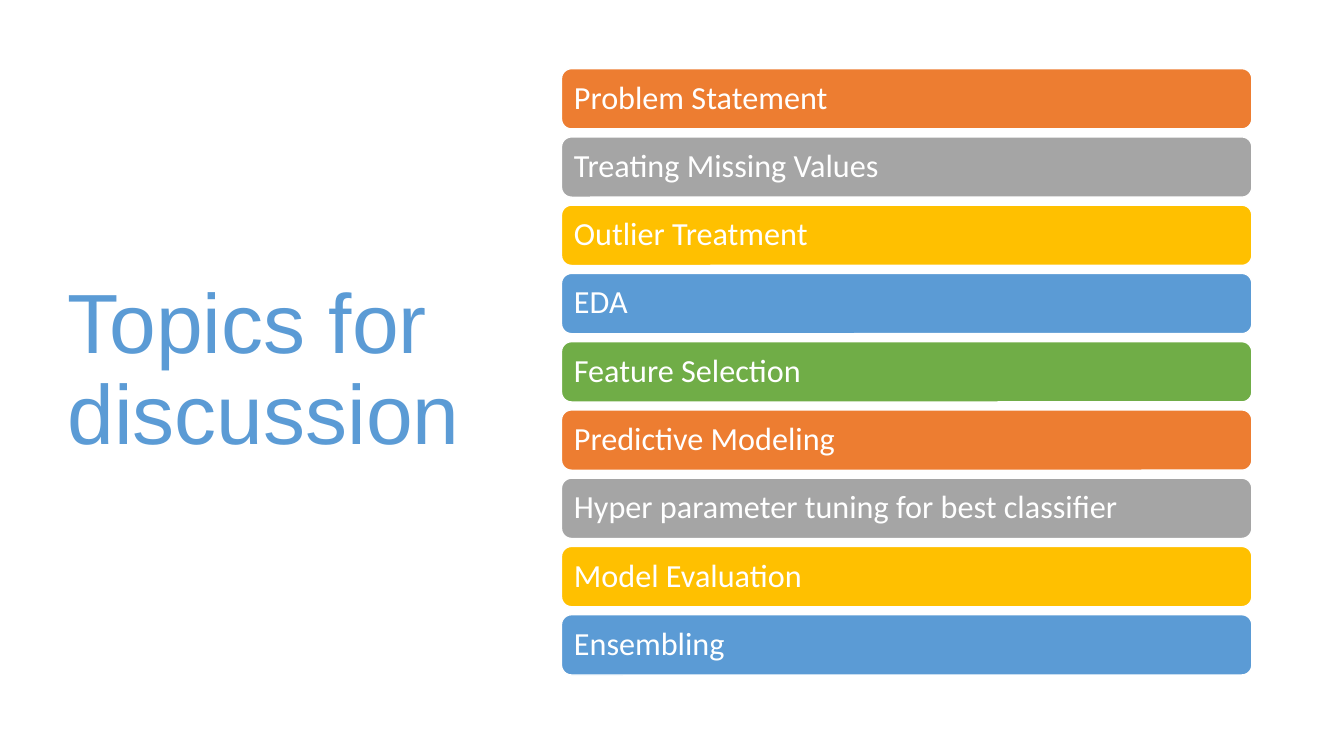
import pptx
import pptx.util
import pptx.dml.color
import pptx.enum.shapes
import pptx.enum.text

Cm = pptx.util.Cm
Pt = pptx.util.Pt
RGBColor = pptx.dml.color.RGBColor

WHITE = RGBColor(0xFF, 0xFF, 0xFF)
ORANGE = RGBColor(0xED, 0x7D, 0x31)
GRAY = RGBColor(0xA5, 0xA5, 0xA5)
GOLD = RGBColor(0xFF, 0xC0, 0x00)
BLUE = RGBColor(0x5B, 0x9B, 0xD5)
GREEN = RGBColor(0x70, 0xAD, 0x47)

COLORS = [ORANGE, GRAY, GOLD, BLUE, GREEN]
TOPICS = [
    "Problem Statement",
    "Treating Missing Values",
    "Outlier Treatment",
    "EDA",
    "Feature Selection",
    "Predictive Modeling",
    "Hyper parameter tuning for best classifier",
    "Model Evaluation",
    "Ensembling",
]
TOP = 1.73
PITCH = 1.72


class Board:
    """Holds the text style and the current slide."""

    def __init__(self, slide):
        self.slide = slide
        self.head = ("Arial", 60, BLUE)
        self.body = ("Calibri", 23, WHITE)

    def label(self, shape, text, style):
        frame = shape.text_frame
        frame.word_wrap = True
        frame.vertical_anchor = pptx.enum.text.MSO_ANCHOR.MIDDLE
        para = frame.paragraphs[0]
        para.text = text
        para.alignment = pptx.enum.text.PP_ALIGN.LEFT
        para.line_spacing = 0.9
        para.font.name, size, para.font.color.rgb = style
        para.font.size = Pt(size)
        return frame

    def title(self, text, left, top, width, height):
        box = self.slide.shapes.add_textbox(
            Cm(left), Cm(top), Cm(width), Cm(height))
        self.label(box, text, self.head)

    def bar(self, text, color, left, top, width, height):
        bar = self.slide.shapes.add_shape(
            pptx.enum.shapes.MSO_SHAPE.ROUNDED_RECTANGLE,
            Cm(left), Cm(top), Cm(width), Cm(height))
        bar.shadow.inherit = False
        bar.fill.solid()
        bar.fill.fore_color.rgb = color
        bar.line.color.rgb = WHITE
        bar.line.width = Pt(1)
        frame = self.label(bar, text, self.body)
        frame.margin_left = frame.margin_right = Cm(0.24)
        frame.margin_top = frame.margin_bottom = Cm(0.24)


def main():
    deck = pptx.Presentation()
    deck.slide_width = Cm(33.87)
    deck.slide_height = Cm(19.05)
    board = Board(deck.slides.add_slide(deck.slide_layouts[6]))

    # Title on the left
    board.title("Topics for discussion", 1.45, TOP, 10.57, 15.29)

    # Topic bars on the right, colours in rotation
    for i, topic in enumerate(TOPICS):
        color = COLORS[i % len(COLORS)]
        board.bar(topic, color, 14.15, TOP + i * PITCH, 17.4, 1.52)

    deck.save("out.pptx")


if __name__ == "__main__":
    main()
